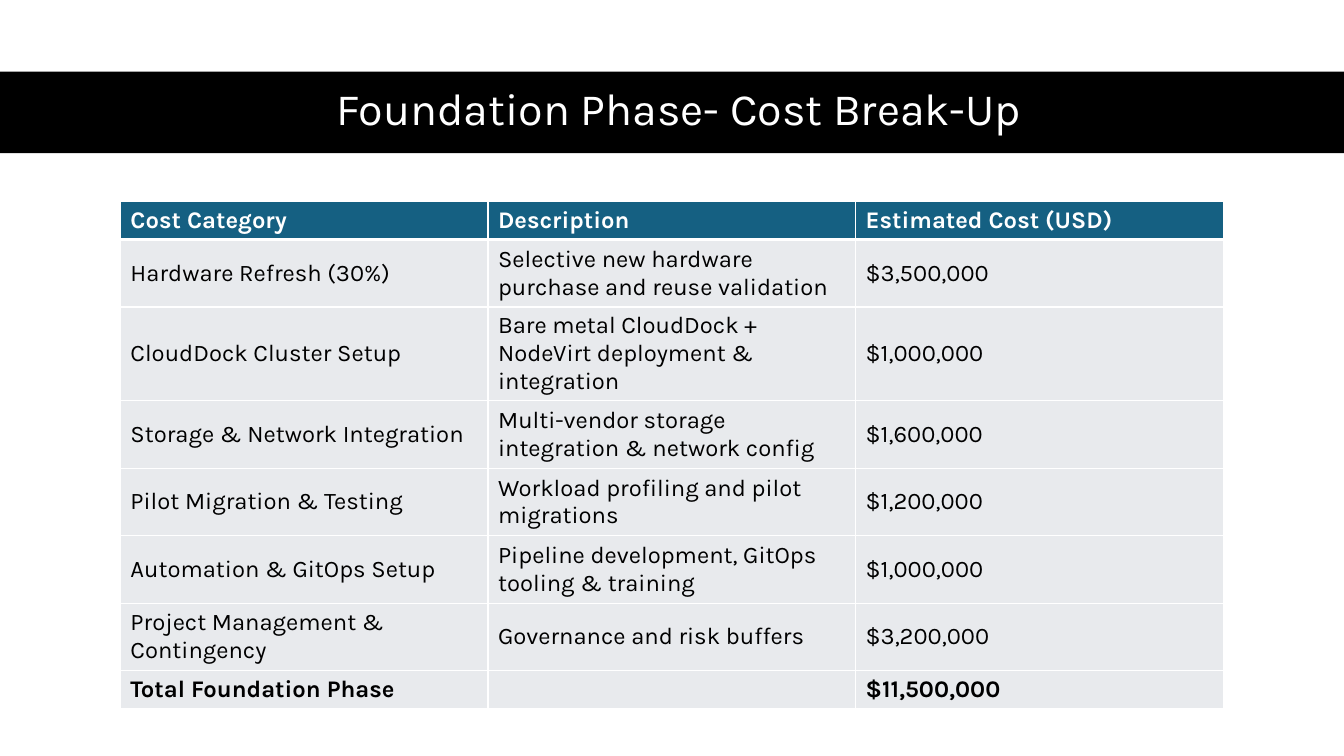
"""Build the foundation phase cost break-up slide."""
from dataclasses import dataclass

from lxml.etree import SubElement
from pptx import Presentation
from pptx.dml.color import RGBColor
from pptx.enum.shapes import MSO_SHAPE
from pptx.enum.text import MSO_ANCHOR, PP_ALIGN
from pptx.oxml.ns import qn
from pptx.slide import Slide
from pptx.table import _Cell
from pptx.text.text import _Paragraph
from pptx.util import Pt

BLACK = RGBColor(0x00, 0x00, 0x00)
WHITE = RGBColor(0xFF, 0xFF, 0xFF)
TEAL = RGBColor(0x15, 0x60, 0x82)
PALE_GREY = RGBColor(0xE8, 0xEA, 0xED)

FONT = "Karla"
TITLE_SIZE = Pt(32)
TABLE_SIZE = Pt(17)
PAGE_WIDTH, PAGE_HEIGHT = Pt(960), Pt(540)
COLUMN_WIDTH = Pt(262.6)
SHORT_ROW, TALL_ROW = Pt(27), Pt(48.2)
THIN, THICK = Pt(1), Pt(3)


@dataclass(frozen=True)
class CostRow:
    category: str
    description: str
    cost: str
    height: int = TALL_ROW
    fill: RGBColor = PALE_GREY
    color: RGBColor = BLACK
    bold: bool = False
    bottom: int = THIN


COST_ROWS = [
    CostRow("Cost Category", "Description", "Estimated Cost (USD)",
            SHORT_ROW, TEAL, WHITE, True, THICK),
    CostRow("Hardware Refresh (30%)",
            "Selective new hardware purchase and reuse validation", "$3,500,000"),
    CostRow("CloudDock Cluster Setup",
            "Bare metal CloudDock + NodeVirt deployment & integration", "$1,000,000"),
    CostRow("Storage & Network Integration",
            "Multi-vendor storage integration & network config", "$1,600,000"),
    CostRow("Pilot Migration & Testing",
            "Workload profiling and pilot migrations", "$1,200,000"),
    CostRow("Automation & GitOps Setup",
            "Pipeline development, GitOps tooling & training", "$1,000,000"),
    CostRow("Project Management & Contingency",
            "Governance and risk buffers", "$3,200,000"),
    CostRow("Total Foundation Phase", "", "$11,500,000", SHORT_ROW, bold=True),
]


def add_span(para: _Paragraph, text: str, size: int, color: RGBColor,
             bold: bool = False) -> None:
    """Add one formatted run to a paragraph."""
    span = para.add_run()
    span.text = text
    span.font.name = FONT
    span.font.size = size
    span.font.bold = bold
    span.font.color.rgb = color


def set_borders(cell: _Cell, top: int, bottom: int) -> None:
    """Draw white borders on all sides of a cell."""
    properties = cell._tc.get_or_add_tcPr()
    widths = {"a:lnL": THIN, "a:lnR": THIN, "a:lnT": top, "a:lnB": bottom}
    for position, (tag, width) in enumerate(widths.items()):
        line = SubElement(properties, qn(tag), w=str(int(width)))
        fill = SubElement(line, qn("a:solidFill"))
        SubElement(fill, qn("a:srgbClr"), val=str(WHITE))
        properties.insert(position, line)


def add_title(page: Slide, text: str) -> None:
    """Place the black band and the title over it."""
    band = page.shapes.add_shape(MSO_SHAPE.RECTANGLE, 0, Pt(51.1), PAGE_WIDTH, Pt(58.3))
    band.shadow.inherit = False
    band.fill.solid()
    band.fill.fore_color.rgb = BLACK
    band.line.fill.background()

    title = page.shapes.title
    band._element.addnext(title._element)
    title.left, title.top, title.width, title.height = Pt(43.9), Pt(50.4), Pt(882.7), Pt(58.3)
    title.text_frame.vertical_anchor = MSO_ANCHOR.MIDDLE
    title.text_frame.word_wrap = True
    para = title.text_frame.paragraphs[0]
    para.alignment = PP_ALIGN.CENTER
    para.line_spacing = 0.9
    add_span(para, text, TITLE_SIZE, WHITE)


def fill_cell(cell: _Cell, text: str, row: CostRow, top: int) -> None:
    """Write and format one table cell."""
    cell.vertical_anchor = MSO_ANCHOR.MIDDLE
    cell.fill.solid()
    cell.fill.fore_color.rgb = row.fill
    set_borders(cell, top, row.bottom)
    para = cell.text_frame.paragraphs[0]
    if text:
        add_span(para, text, TABLE_SIZE, row.color, row.bold)
    else:
        ending = SubElement(para._p, qn("a:endParaRPr"), sz=str(int(TABLE_SIZE.pt * 100)))
        SubElement(ending, qn("a:latin"), typeface=FONT)


def add_cost_table(page: Slide, rows: list[CostRow]) -> None:
    """Add the table of cost categories."""
    height = sum(row.height for row in rows)
    frame = page.shapes.add_table(len(rows), 3, Pt(86), Pt(144), COLUMN_WIDTH * 3, height)
    table = frame.table
    table.horz_banding = False
    for column in table.columns:
        column.width = COLUMN_WIDTH
    top = THIN
    for index, row in enumerate(rows):
        table.rows[index].height = row.height
        for column, text in enumerate((row.category, row.description, row.cost)):
            fill_cell(table.cell(index, column), text, row, top)
        top = row.bottom


def main() -> None:
    """Create and save the deck."""
    deck = Presentation()
    deck.slide_width, deck.slide_height = PAGE_WIDTH, PAGE_HEIGHT
    page = deck.slides.add_slide(deck.slide_layouts.get_by_name("Title Only"))
    add_title(page, "Foundation Phase- Cost Break-Up")
    add_cost_table(page, COST_ROWS)
    deck.save("out.pptx")


if __name__ == "__main__":
    main()
